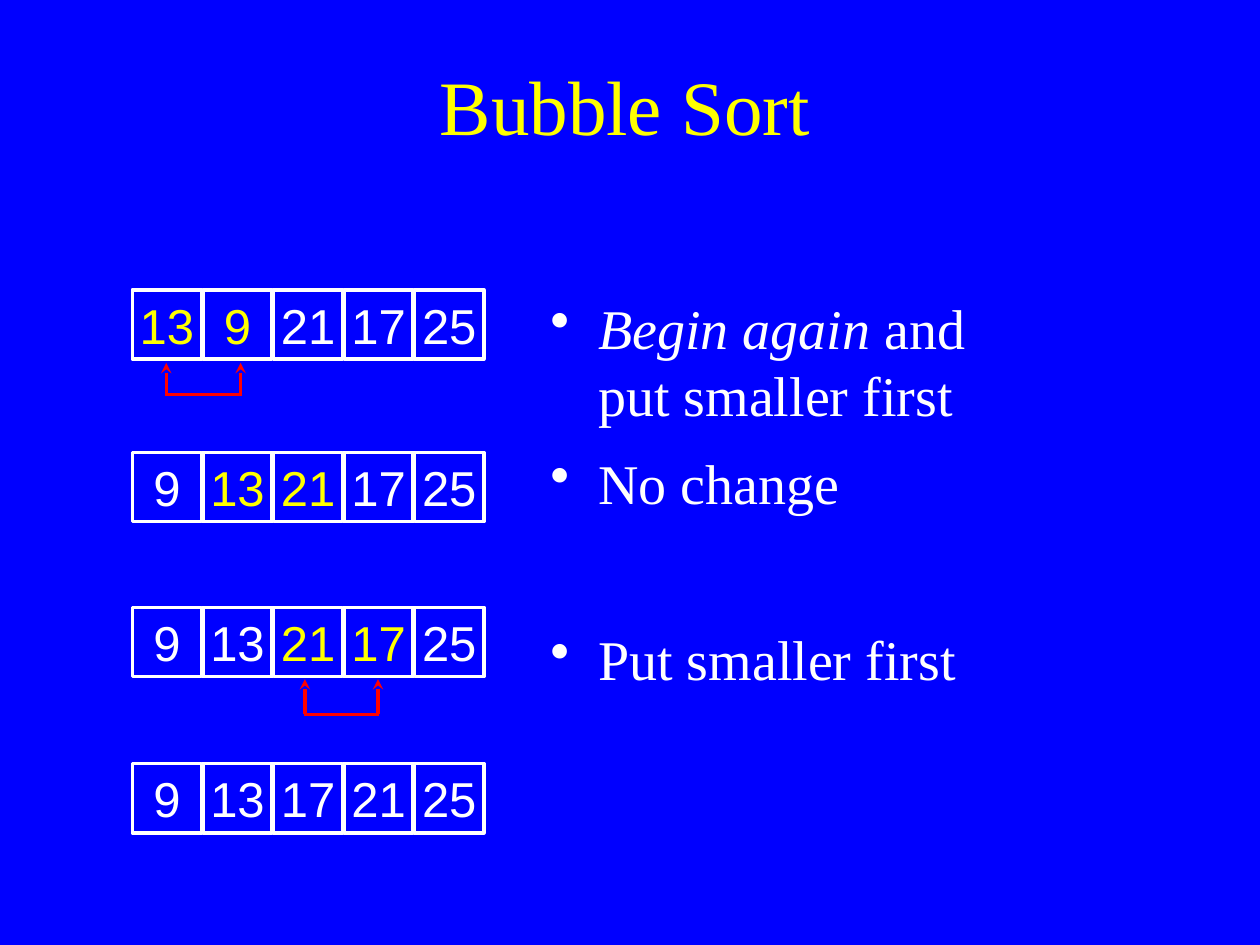
from dataclasses import dataclass

from lxml import etree
from pptx import Presentation
from pptx.dml.color import RGBColor
from pptx.enum import shapes, text
from pptx.oxml import ns
from pptx.util import Inches, Pt

COLORS = {"background": "0000FF", "plain": "FFFFFF", "compared": "FFFF00", "swap": "FF0000"}
SERIF, SANS = "Times New Roman", "Arial"
CELL_SIZE, CELL_PITCH, ARRAY_LEFT = 0.55, 0.56, 1.05


@dataclass
class Step:
    top: float
    values: list[int]
    compared: tuple[int, ...] = ()


@dataclass
class Swap:
    """Two upward arrows joined by a bar below the array."""
    left: float
    right: float
    top: float
    bottom: float


@dataclass
class Remark:
    runs: list[tuple[str, bool]]  # wording, italic
    space_before: float = 0


STEPS = [
    Step(2.3, [13, 9, 21, 17, 25], (0, 1)),
    Step(3.59, [9, 13, 21, 17, 25], (1, 2)),
    Step(4.82, [9, 13, 21, 17, 25], (2, 3)),
    Step(6.06, [9, 13, 17, 21, 25]),
]
SWAPS = [Swap(1.32, 1.91, 2.88, 3.13), Swap(2.42, 3.0, 5.39, 5.67)]
REMARKS = [
    Remark([("Begin again", True), (" and put smaller first", False)]),
    Remark([("No change", False)]),
    Remark([("Put smaller first", False)], space_before=50.3),
]


def color(name: str) -> RGBColor:
    return RGBColor.from_string(COLORS[name])


def add_run(paragraph, wording: str, size: float, font: str, color_name: str, italic=False):
    run = paragraph.add_run()
    run.text = wording
    run.font.size = Pt(size)
    run.font.name = font
    run.font.italic = italic
    run.font.color.rgb = color(color_name)


def add_title(slide, wording: str):
    title = slide.shapes.add_textbox(Inches(0.67), Inches(0), Inches(8.58), Inches(1.25))
    frame = title.text_frame
    frame.word_wrap = True
    frame.vertical_anchor = text.MSO_ANCHOR.BOTTOM
    paragraph = frame.paragraphs[0]
    paragraph.alignment = text.PP_ALIGN.CENTER
    add_run(paragraph, wording, 44, SERIF, "compared")


def add_bullet(paragraph):
    properties = paragraph._p.get_or_add_pPr()
    properties.set("marL", str(Inches(0.38)))
    properties.set("indent", str(-Inches(0.38)))
    bullet_color = etree.SubElement(properties, ns.qn("a:buClr"))
    etree.SubElement(bullet_color, ns.qn("a:srgbClr"), val=COLORS["plain"])
    etree.SubElement(properties, ns.qn("a:buChar"), char="•")


def add_remarks(slide, remarks: list[Remark]):
    body = slide.shapes.add_textbox(Inches(4.27), Inches(2.28), Inches(4.1), Inches(4.49))
    frame = body.text_frame
    frame.word_wrap = True
    for index, remark in enumerate(remarks):
        paragraph = frame.add_paragraph() if index else frame.paragraphs[0]
        add_bullet(paragraph)
        paragraph.line_spacing = Pt(38.3)
        paragraph.space_after = Pt(12)
        if remark.space_before:
            paragraph.space_before = Pt(remark.space_before)
        for wording, italic in remark.runs:
            add_run(paragraph, wording, 32, SERIF, "plain", italic)


def add_cell(slide, left: float, top: float, value: int, color_name: str):
    cell = slide.shapes.add_shape(shapes.MSO_SHAPE.RECTANGLE, Inches(left), Inches(top),
                                  Inches(CELL_SIZE), Inches(CELL_SIZE))
    cell.shadow.inherit = False
    cell.fill.background()
    cell.line.color.rgb = color("plain")
    cell.line.width = Pt(2)
    frame = cell.text_frame
    frame.word_wrap = False
    frame.vertical_anchor = text.MSO_ANCHOR.MIDDLE
    frame.margin_left = frame.margin_right = Inches(0.09)
    paragraph = frame.paragraphs[0]
    paragraph.alignment = text.PP_ALIGN.CENTER
    add_run(paragraph, str(value), 28, SANS, color_name)


def add_step(slide, step: Step):
    for index, value in enumerate(step.values):
        color_name = "compared" if index in step.compared else "plain"
        add_cell(slide, ARRAY_LEFT + index * CELL_PITCH, step.top, value, color_name)


def add_line(slide, start: tuple[float, float], end: tuple[float, float], arrow=False):
    """Draw a red line, with an arrowhead at its start if asked."""
    line = slide.shapes.add_connector(shapes.MSO_CONNECTOR.STRAIGHT,
                                      *map(Inches, start), *map(Inches, end))
    line.line.color.rgb = color("swap")
    line.line.width = Pt(2)
    if arrow:
        etree.SubElement(line.line._get_or_add_ln(), ns.qn("a:headEnd"), type="stealth")
    etree.SubElement(line._element.spPr, ns.qn("a:effectLst"))


def add_swap(slide, swap: Swap):
    for x in (swap.left, swap.right):
        add_line(slide, (x, swap.top), (x, swap.bottom), arrow=True)
    add_line(slide, (swap.left - 0.01, swap.bottom), (swap.right + 0.01, swap.bottom))


def main():
    presentation = Presentation()
    presentation.slide_width = Inches(10)
    presentation.slide_height = Inches(7.5)
    slide = presentation.slides.add_slide(presentation.slide_layouts[6])
    slide.background.fill.solid()
    slide.background.fill.fore_color.rgb = color("background")

    add_title(slide, "Bubble Sort")
    add_remarks(slide, REMARKS)
    for step in STEPS:
        add_step(slide, step)
    for swap in SWAPS:
        add_swap(slide, swap)
    presentation.save("out.pptx")


if __name__ == "__main__":
    main()
